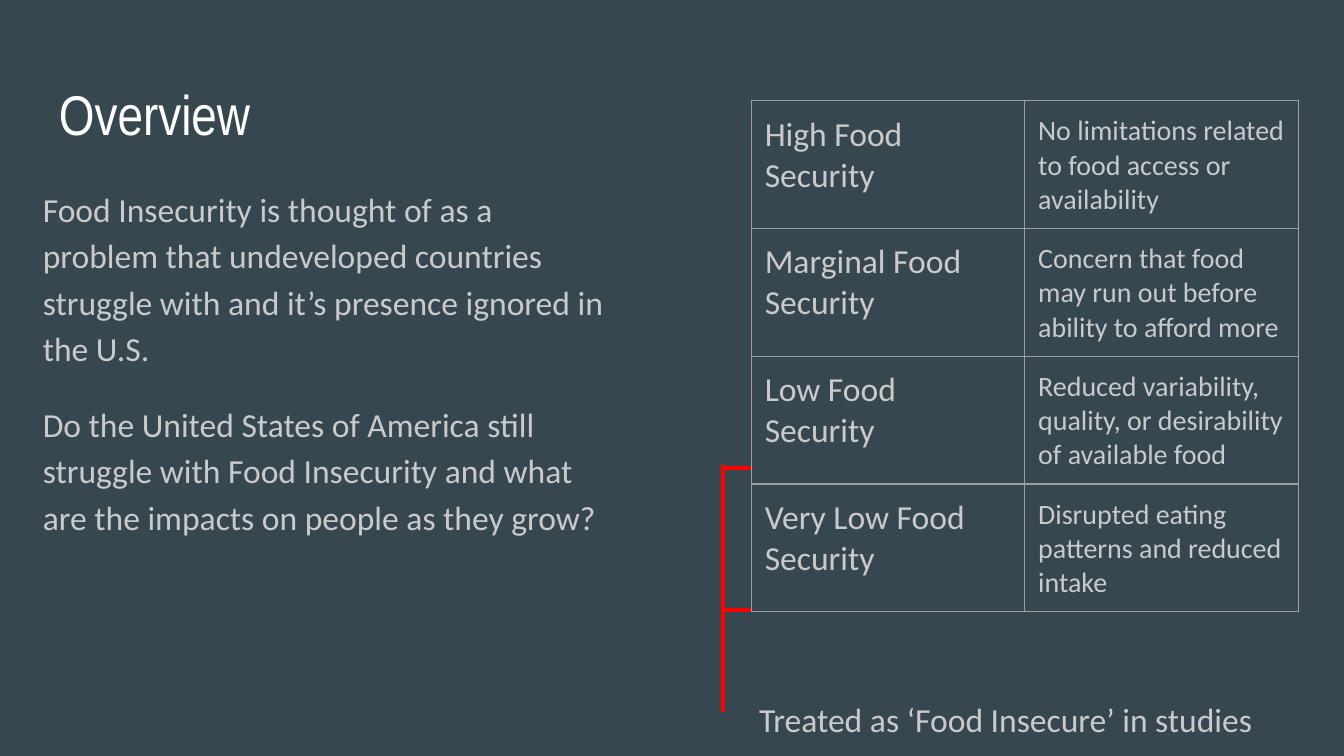
from lxml import etree
from pptx import Presentation
from pptx.dml.color import RGBColor
from pptx.enum import shapes, text
from pptx.oxml import ns
from pptx.util import Inches, Pt

SLATE = RGBColor(0x37, 0x47, 0x4F)
WHITE = RGBColor(0xFF, 0xFF, 0xFF)
PALE = RGBColor(0xCA, 0xCA, 0xCA)
RED = RGBColor(0xFF, 0x00, 0x00)
GREY = "9E9E9E"
PAD = Inches(0.1)

BODY = [
    "Food Insecurity is thought of as a problem that undeveloped countries "
    "struggle with and it’s presence ignored in the U.S.",
    "Do the United States of America still struggle with Food Insecurity "
    "and what are the impacts on people as they grow?",
]
LEVELS = [
    ("High Food Security",
     "No limitations related to food access or availability"),
    ("Marginal Food Security",
     "Concern that food may run out before ability to afford more"),
    ("Low Food Security",
     "Reduced variability, quality, or desirability of available food"),
    ("Very Low Food Security",
     "Disrupted eating patterns and reduced intake"),
]
LINKS = [
    (5.39, 3.48, 5.59, 3.48),
    (5.39, 4.54, 5.59, 4.54),
    (5.38, 5.3, 5.38, 3.46),
]


def write(frame, lines, size=18, font="Calibri", color=PALE, space=None, gap=0):
    frame.word_wrap = True
    for i, line in enumerate(lines):
        para = frame.paragraphs[0] if i == 0 else frame.add_paragraph()
        if space:
            para.line_spacing = space
        if i:
            para.space_before = para.space_after = Pt(gap)
        run = para.add_run()
        run.text = line
        run.font.size = Pt(size)
        run.font.name = font
        run.font.color.rgb = color


def add_text(slide, box, lines, **style):
    frame = slide.shapes.add_textbox(*map(Inches, box)).text_frame
    frame.margin_left = frame.margin_right = PAD
    frame.margin_top = frame.margin_bottom = PAD
    frame.vertical_anchor = text.MSO_ANCHOR.TOP
    write(frame, lines, **style)


def add_edges(cell):
    props = cell._tc.get_or_add_tcPr()
    for i, side in enumerate(("lnL", "lnR", "lnT", "lnB")):
        edge = etree.Element(ns.qn("a:" + side), w=str(Pt(0.75)))
        fill = etree.SubElement(edge, ns.qn("a:solidFill"))
        etree.SubElement(fill, ns.qn("a:srgbClr"), val=GREY)
        props.insert(i, edge)


def add_grid(slide, rows):
    holder = slide.shapes.add_table(
        len(rows), 2, Inches(5.59), Inches(0.75), Inches(4.07), Inches(3.04))
    holder.width = holder.height = Inches(3.28)
    table = holder.table
    table.first_row = table.horz_banding = False
    for r, row in enumerate(rows):
        for c, (words, size) in enumerate(zip(row, (18, 15))):
            cell = table.cell(r, c)
            cell.margin_left = cell.margin_right = PAD
            cell.margin_top = cell.margin_bottom = PAD
            cell.fill.background()
            add_edges(cell)
            write(cell.text_frame, [words], size=size)


def add_line(slide, ends):
    line = slide.shapes.add_connector(
        shapes.MSO_CONNECTOR.STRAIGHT, *map(Inches, ends))
    line.line.color.rgb = RED
    line.line.width = Pt(2.25)
    etree.SubElement(line._element.spPr, ns.qn("a:effectLst"))


def main():
    deck = Presentation()
    deck.slide_width = Inches(10)
    deck.slide_height = deck.slide_width * 9 // 16
    slide = deck.slides.add_slide(deck.slide_layouts[6])
    slide.background.fill.solid()
    slide.background.fill.fore_color.rgb = SLATE
    add_text(slide, (0.34, 0.49, 9.32, 0.63), ["Overview"],
             size=30, font="Arial Narrow", color=WHITE)
    add_text(slide, (0.22, 1.26, 4.41, 3.74), BODY, space=1.15, gap=16)
    add_grid(slide, LEVELS)
    for ends in LINKS:
        add_line(slide, ends)
    add_text(slide, (5.55, 5.1, 4.11, 0.5),
             ["Treated as ‘Food Insecure’ in studies"])
    deck.save("out.pptx")


if __name__ == "__main__":
    main()
